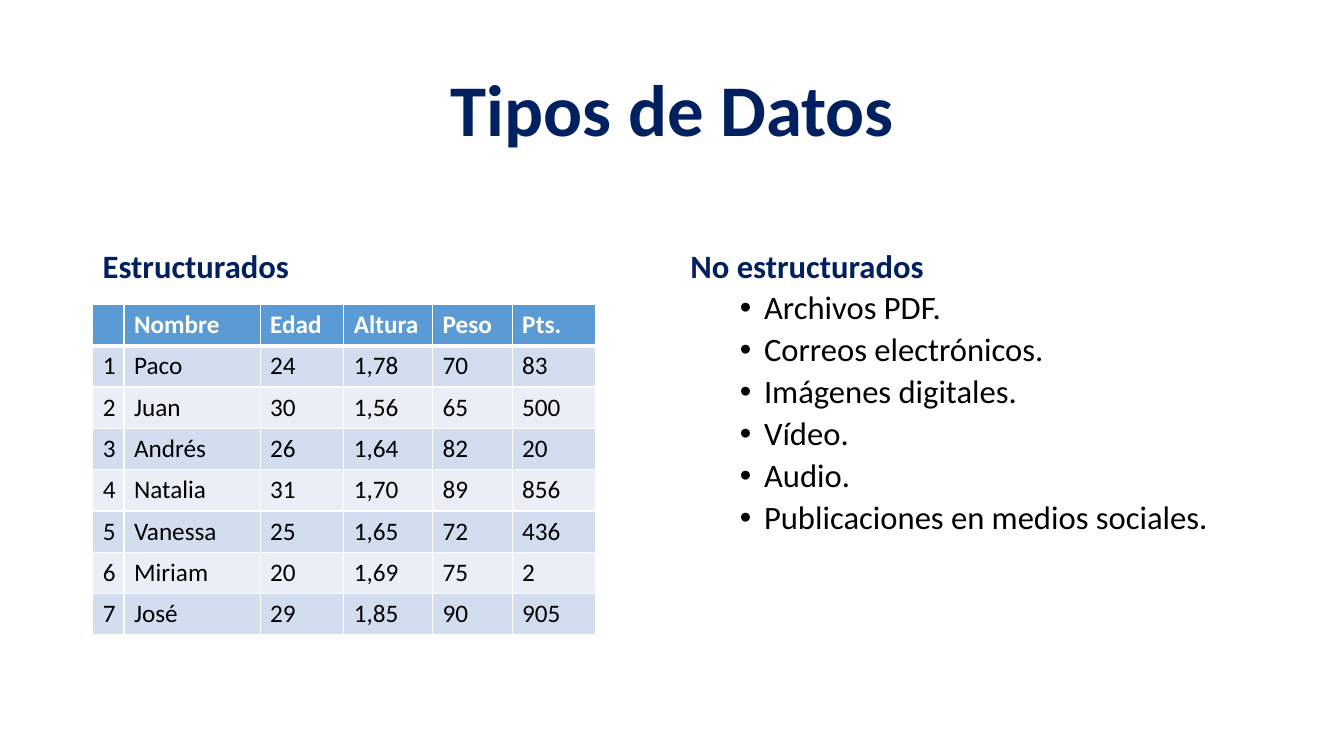
from lxml import etree
from pptx import Presentation
from pptx.dml.color import RGBColor
from pptx.enum.text import MSO_ANCHOR, PP_ALIGN
from pptx.oxml.ns import qn
from pptx.util import Inches, Pt

CENTER = PP_ALIGN.CENTER
LEFT = PP_ALIGN.LEFT
TOP = MSO_ANCHOR.TOP
MIDDLE = MSO_ANCHOR.MIDDLE

FONT = "Calibri"
NAVY = "002060"
BLACK = "000000"
WHITE = "FFFFFF"
HEADER_BLUE = "5B9BD5"
BAND_COLORS = ("EAEFF7", "D2DEEF")

BODY_SIZE = 23.3
TABLE_SIZE = 18
ROW_HEIGHT = 0.41
COLUMN_WIDTHS = (0.31, 1.35, 0.83, 0.88, 0.79, 0.83)
PEOPLE = (
    ("", "Nombre", "Edad", "Altura", "Peso", "Pts."),
    ("1", "Paco", "24", "1,78", "70", "83"),
    ("2", "Juan", "30", "1,56", "65", "500"),
    ("3", "Andrés", "26", "1,64", "82", "20"),
    ("4", "Natalia", "31", "1,70", "89", "856"),
    ("5", "Vanessa", "25", "1,65", "72", "436"),
    ("6", "Miriam", "20", "1,69", "75", "2"),
    ("7", "José", "29", "1,85", "90", "905"),
)
UNSTRUCTURED = (
    "Archivos PDF.",
    "Correos electrónicos.",
    "Imágenes digitales.",
    "Vídeo.",
    "Audio.",
    "Publicaciones en medios sociales.",
)


def rgb(color):
    return RGBColor.from_string(color)


def style_paragraph(paragraph, text, size, color, bold):
    paragraph.text = text
    paragraph.font.name = FONT
    paragraph.font.size = Pt(size)
    paragraph.font.bold = bold
    paragraph.font.color.rgb = rgb(color)


def add_text(slide, left, top, width, height, text, size, align=LEFT, anchor=TOP):
    box = slide.shapes.add_textbox(Inches(left), Inches(top), Inches(width), Inches(height))
    frame = box.text_frame
    frame.word_wrap = True
    frame.vertical_anchor = anchor
    paragraph = frame.paragraphs[0]
    style_paragraph(paragraph, text, size, NAVY, True)
    paragraph.alignment = align
    paragraph.line_spacing = 0.9
    return frame


def add_heading(slide, left, text):
    frame = add_text(slide, left, 2.43, 5.67, 4.76, text, BODY_SIZE)
    frame.paragraphs[0].space_before = Pt(9.7)
    return frame


def add_bullet(frame, text):
    paragraph = frame.add_paragraph()
    style_paragraph(paragraph, text, BODY_SIZE, BLACK, False)
    paragraph.level = 1
    paragraph.line_spacing = 0.9
    paragraph.space_before = Pt(4.8)
    properties = paragraph._p.get_or_add_pPr()
    properties.set("marL", str(Inches(0.73)))
    properties.set("indent", str(Inches(-0.24)))
    bullet_font = etree.Element(qn("a:buFont"), typeface="Arial")
    bullet = etree.Element(qn("a:buChar"), char="•")
    properties.find(qn("a:spcBef")).addnext(bullet_font)
    bullet_font.addnext(bullet)


def add_borders(cell, top_width, bottom_width):
    properties = cell._tc.get_or_add_tcPr()
    widths = {"lnL": 1, "lnR": 1, "lnT": top_width, "lnB": bottom_width}
    for side, width in widths.items():
        line = etree.SubElement(properties, qn(f"a:{side}"), w=str(Pt(width)))
        fill = etree.SubElement(line, qn("a:solidFill"))
        etree.SubElement(fill, qn("a:srgbClr"), val=WHITE)


def add_people_table(slide, left, top):
    frame = slide.shapes.add_table(
        len(PEOPLE), len(COLUMN_WIDTHS), Inches(left), Inches(top),
        Inches(sum(COLUMN_WIDTHS)), Inches(ROW_HEIGHT * len(PEOPLE)))
    table = frame.table
    for column, width in zip(table.columns, COLUMN_WIDTHS):
        column.width = Inches(width)
    for row_index, values in enumerate(PEOPLE):
        table.rows[row_index].height = Inches(ROW_HEIGHT)
        is_header = row_index == 0
        fill_color = HEADER_BLUE if is_header else BAND_COLORS[row_index % 2]
        text_color = WHITE if is_header else BLACK
        for column_index, value in enumerate(values):
            cell = table.cell(row_index, column_index)
            style_paragraph(cell.text_frame.paragraphs[0], value, TABLE_SIZE, text_color, is_header)
            add_borders(cell, 3 if row_index == 1 else 1, 3 if is_header else 1)
            cell.fill.solid()
            cell.fill.fore_color.rgb = rgb(fill_color)


def main():
    presentation = Presentation()
    presentation.slide_width = Inches(13.33)
    presentation.slide_height = Inches(7.5)
    slide = presentation.slides.add_slide(presentation.slide_layouts[6])
    add_text(slide, 0.92, 0.4, 11.5, 1.45, "Tipos de Datos", 52, CENTER, MIDDLE)
    add_heading(slide, 0.92, "Estructurados")
    unstructured = add_heading(slide, 6.75, "No estructurados")
    for text in UNSTRUCTURED:
        add_bullet(unstructured, text)
    add_people_table(slide, 0.92, 3.02)
    presentation.save("out.pptx")


if __name__ == "__main__":
    main()
